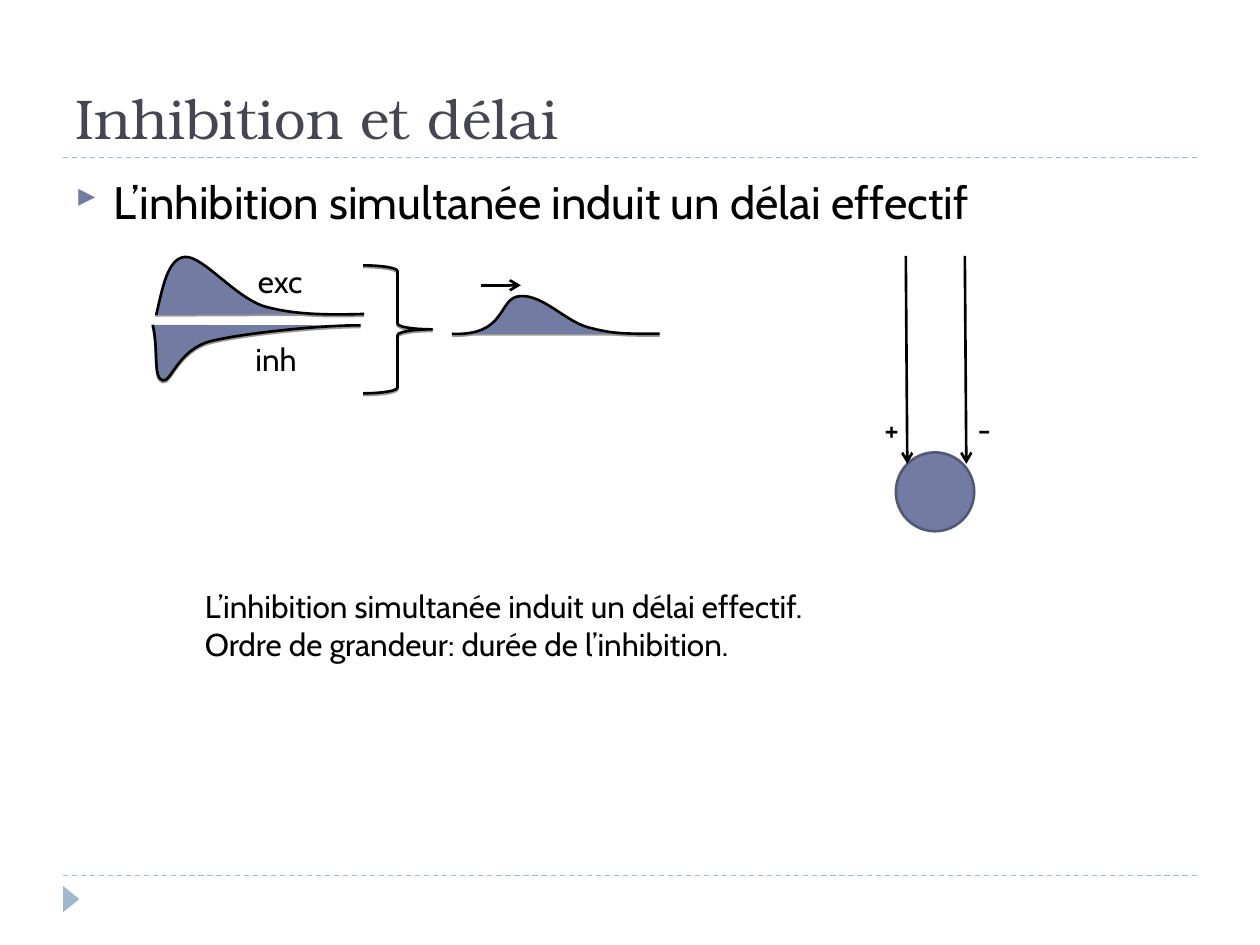
from pptx import Presentation
from pptx import util as u
from pptx.dml.color import RGBColor
from pptx.enum import dml, shapes, text
from pptx.oxml import parse_xml
from pptx.oxml.ns import nsdecls, qn
from lxml import etree

THEME = {
    "ink": "000000", "title": "464653", "fill": "727CA3",
    "edge": "525977", "pale": "9FB8CD",
    "head": "TeX Gyre Bonum", "body": "Cabin", "sign": "Wingdings 3",
    "big": 32, "mid": 26, "small": 18, "thin": 0.75, "line": 1.5,
}

TITLE = ("Inhibition et délai", (1.27, 0.43, 22.86, 2.74))
POINT = ("L’inhibition simultanée induit un délai effectif",
         (1.27, 3.38, 22.86, 13.72))
LABELS = [
    (["exc"], (4.95, 5.16, 1.5, 1.02)),
    (["inh"], (4.9, 6.74, 1.45, 1.02)),
    (["L’inhibition simultanée induit un délai effectif.",
      "Ordre de grandeur: durée de l’inhibition."], (3.88, 11.71, 14.1, 1.78)),
    (["+"], (17.58, 8.14, 0.86, 1.02)),
    (["-"], (19.46, 8.14, 0.71, 1.02)),
]
CURVES = {
    "inh": [(3.08, 6.55), (3.2, 7.04), (3.08, 7.62), (3.28, 7.67),
            (3.45, 7.72), (3.58, 7.06), (4.24, 6.88),
            (4.93, 6.71), (6.55, 6.55), (7.27, 6.56)],
    "exc": [(3.15, 6.35), (3.28, 5.79), (3.38, 5.21), (3.73, 5.18),
            (4.09, 5.16), (4.72, 5.97), (5.31, 6.17),
            (5.92, 6.35), (6.63, 6.35), (7.34, 6.33)],
    "sum": [(9.11, 6.73), (10.24, 6.78), (10.03, 5.99), (10.49, 5.97),
            (10.95, 5.94), (11.4, 6.48), (11.86, 6.6),
            (12.34, 6.73), (12.57, 6.73), (13.3, 6.73)],
}
BRACE = (7.32, 5.35, 1.39, 2.58)
CELL = (18.06, 9.12, 1.58, 1.59)
MARK = (1.17, 17.96, 0.53, 0.33)
ARROWS = [
    (9.7, 5.75, 10.5, 5.75),
    (18.26, 5.16, 18.29, 9.35),
    (19.45, 5.16, 19.48, 9.35),
]
RULES = [(1.27, y, 24.13, y) for y in (17.65, 3.18)]

deck = Presentation()
deck.slide_width, deck.slide_height = u.Cm(25.4), u.Cm(19.05)
slide = deck.slides.add_slide(deck.slide_layouts[6])
parts = slide.shapes


def tint(name):
    return RGBColor.from_string(THEME[name])


def cms(box):
    return [u.Cm(v) for v in box]


def apply(item, values):
    for key, value in values.items():
        setattr(item, key, value)


def stroke(item, color="ink", width="line"):
    item.line.color.rgb = tint(color)
    item.line.width = u.Pt(THEME[width])


def paint(item, color=None):
    item.shadow.inherit = False
    if color:
        item.fill.solid()
        item.fill.fore_color.rgb = tint(color)
    else:
        item.fill.background()


def shade(item):
    effects = item._element.spPr.find(qn("a:effectLst"))
    effects.append(parse_xml(
        f'<a:outerShdw {nsdecls("a")} blurRad="0" dist="12700" dir="5400000" '
        f'algn="t" rotWithShape="0"><a:srgbClr val="{THEME["ink"]}">'
        '<a:alpha val="40000"/></a:srgbClr></a:outerShdw>'))


def link(ends, color="ink", width="line", arrow=False):
    wire = parts.add_connector(shapes.MSO_CONNECTOR.STRAIGHT, *cms(ends))
    stroke(wire, color, width)
    if arrow:
        etree.SubElement(wire.line._get_or_add_ln(), qn("a:tailEnd"), type="arrow")
    else:
        wire.line.dash_style = dml.MSO_LINE.DASH
    etree.SubElement(wire._element.spPr, qn("a:effectLst"))


def write(lines, box, size="small", face="body", color="ink", bullet=False, **frame):
    body = parts.add_textbox(*cms(box)).text_frame
    apply(body, {"word_wrap": True, **frame})
    for num, line in enumerate(lines):
        para = body.paragraphs[0] if num == 0 else body.add_paragraph()
        if bullet:
            mark(para)
        para.text = line
        apply(para.font, {"size": u.Pt(THEME[size]), "name": THEME[face]})
        para.font.color.rgb = tint(color)


def mark(para):
    props = para._p.get_or_add_pPr()
    indent = u.Cm(0.76)
    props.set("marL", str(indent))
    props.set("indent", str(-indent))
    color = etree.SubElement(props, qn("a:buClr"))
    etree.SubElement(color, qn("a:srgbClr"), val=THEME["fill"])
    etree.SubElement(props, qn("a:buSzPct"), val="76000")
    etree.SubElement(props, qn("a:buFont"), typeface=THEME["sign"], charset="2")
    etree.SubElement(props, qn("a:buChar"), char="}")


def bend(curve):
    route = next(curve._element.iter(qn("a:path")))
    legs = route.findall(qn("a:lnTo"))
    for i in range(0, len(legs), 3):
        arc = etree.SubElement(route, qn("a:cubicBezTo"))
        for leg in legs[i:i + 3]:
            arc.append(leg[0])
            route.remove(leg)


def bump(knots):
    first, *rest = [cms(knot) for knot in knots]
    pen = parts.build_freeform(*first)
    pen.add_line_segments(rest, close=False)
    curve = pen.convert_to_shape()
    bend(curve)
    stroke(curve)
    paint(curve, "fill")
    shade(curve)


def main():
    for rule in RULES:
        link(rule, "pale", "thin")
    arrow = parts.add_shape(shapes.MSO_SHAPE.ISOSCELES_TRIANGLE, *cms(MARK))
    arrow.rotation = 90
    paint(arrow, "pale")
    arrow.line.fill.background()

    write([TITLE[0]], TITLE[1], "big", "head", "title",
          vertical_anchor=text.MSO_ANCHOR.BOTTOM)
    write([POINT[0]], POINT[1], "mid", bullet=True)

    for knots in CURVES.values():
        bump(knots)
    brace = parts.add_shape(shapes.MSO_SHAPE.RIGHT_BRACE, *cms(BRACE))
    stroke(brace)
    paint(brace)
    shade(brace)

    cell = parts.add_shape(shapes.MSO_SHAPE.OVAL, *cms(CELL))
    stroke(cell, "edge")
    paint(cell, "fill")
    for ends in ARROWS:
        link(ends, arrow=True)
    for lines, box in LABELS:
        write(lines, box, word_wrap=False,
              auto_size=text.MSO_AUTO_SIZE.SHAPE_TO_FIT_TEXT)
    deck.save("out.pptx")


if __name__ == "__main__":
    main()
